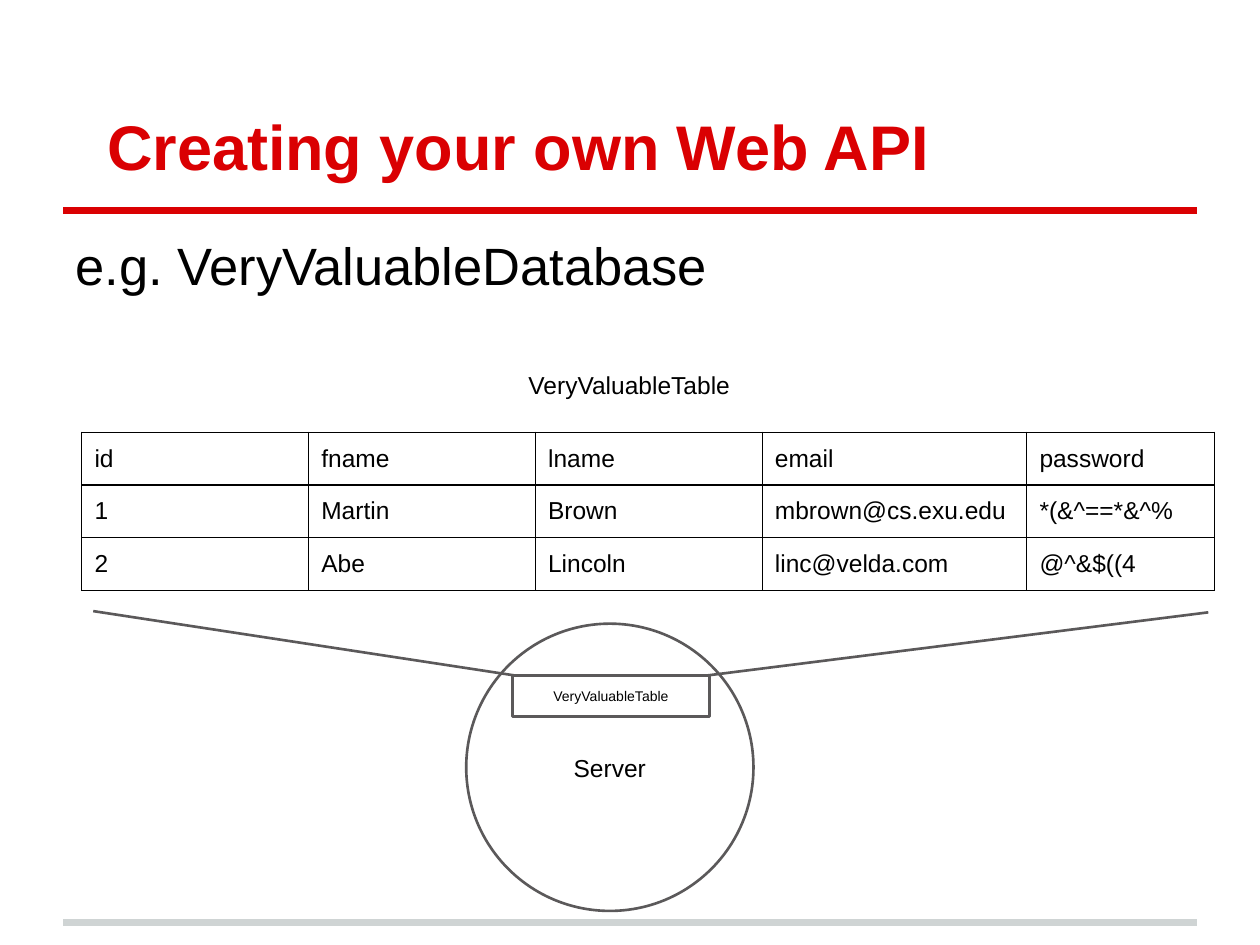
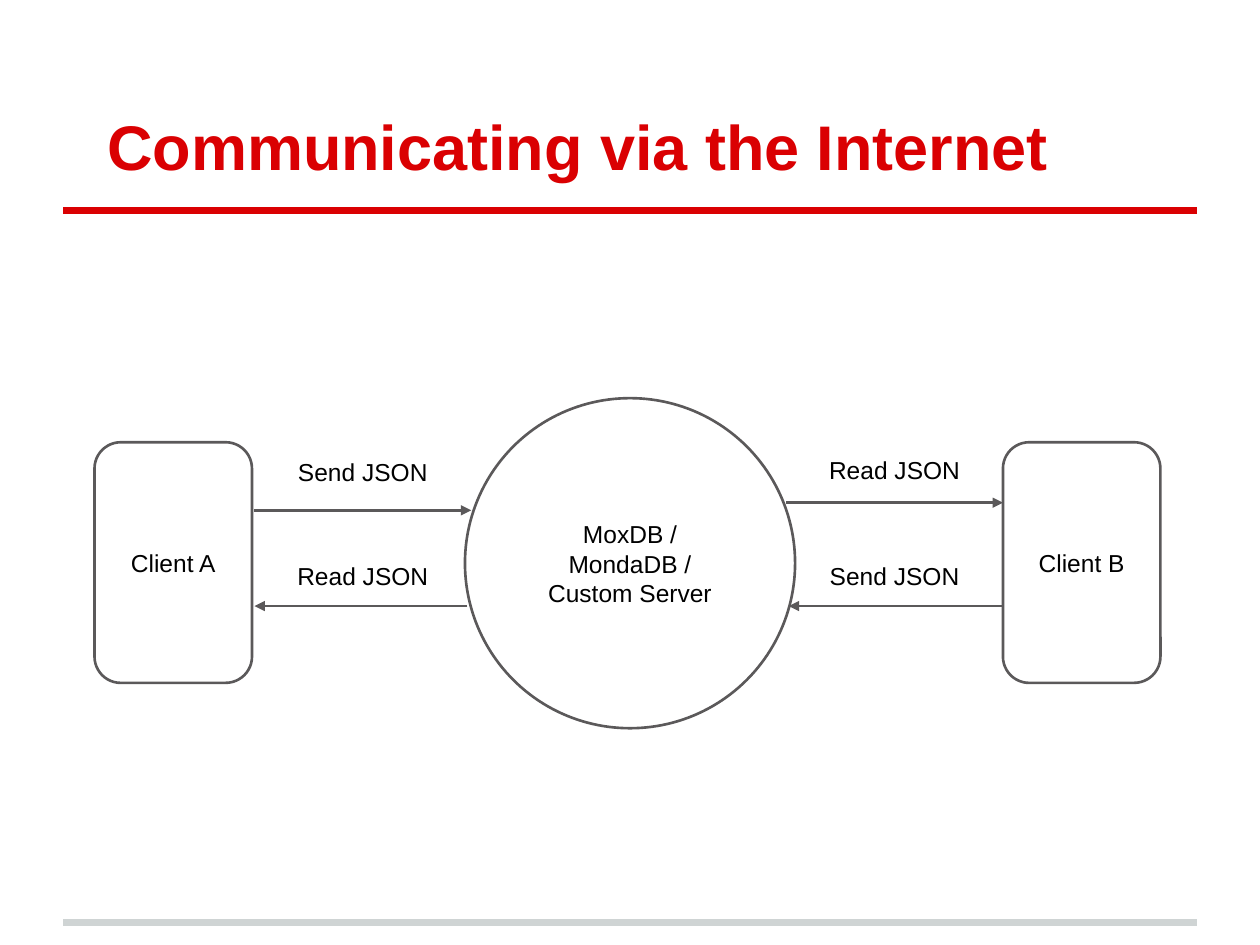
"""Build two slides about a custom web API and its JSON traffic."""
import pptx
import pptx.dml.color
import pptx.enum.shapes
import pptx.enum.text
import pptx.oxml
import pptx.oxml.ns
import pptx.util

PX = 9144
FONT = "Arial"
RED = "DA0002"
SILVER = "CFD4D4"
GRAY = "5B595A"
BLACK = "000000"
WHITE = "FFFFFF"
MARGIN = 10
SHAPES = pptx.enum.shapes.MSO_SHAPE
ANCHOR = pptx.enum.text.MSO_ANCHOR
ALIGN = pptx.enum.text.PP_ALIGN


def color(value):
    return pptx.dml.color.RGBColor.from_string(value)


def px(*lengths):
    return [length * PX for length in lengths]


def element(tag, attributes="", content=""):
    namespace = pptx.oxml.ns.nsdecls("a")
    return pptx.oxml.parse_xml(f"<a:{tag} {namespace} {attributes}>{content}</a:{tag}>")


class Deck:
    def __init__(self):
        self.presentation = pptx.Presentation()
        self.presentation.slide_width, self.presentation.slide_height = px(1000, 750)
        self.slide = None

    def add_slide(self, title):
        layout = self.presentation.slide_layouts.get_by_name("Title Only")
        self.slide = self.presentation.slides.add_slide(layout)
        self.line((50, 732), (950, 732), SILVER, 4)
        self.line((50, 167), (950, 167), RED, 4)
        shape = self.slide.shapes.title
        shape.left, shape.top, shape.width, shape.height = px(50, 30, 900, 125)
        self.add_text(shape.text_frame, [title], 36, RED, ALIGN.LEFT, ANCHOR.BOTTOM, bold=True)
        shape.text_frame.margin_left = (MARGIN + 25) * PX

    def add_text(self, frame, lines, size, ink=BLACK, align=ALIGN.CENTER,
                 anchor=ANCHOR.TOP, bold=False, before=0):
        frame.word_wrap = True
        frame.auto_size = pptx.enum.text.MSO_AUTO_SIZE.NONE
        frame.vertical_anchor = anchor
        self.set_margins(frame)
        for index, line in enumerate(lines):
            paragraph = frame.add_paragraph() if index else frame.paragraphs[0]
            paragraph.alignment = align
            paragraph.space_before = pptx.util.Pt(before)
            self.add_run(paragraph, line, size, ink, bold)

    def set_margins(self, holder):
        holder.margin_left = holder.margin_right = MARGIN * PX
        holder.margin_top = holder.margin_bottom = MARGIN * PX

    def add_run(self, paragraph, text, size, ink=BLACK, bold=False):
        run = paragraph.add_run()
        run.text = text
        run.font.name = FONT
        run.font.size = pptx.util.Pt(size)
        run.font.bold = bold
        run.font.color.rgb = color(ink)

    def text(self, box, line, size=14, align=ALIGN.CENTER, before=0):
        shape = self.slide.shapes.add_textbox(*px(*box))
        self.add_text(shape.text_frame, [line], size, align=align, before=before)

    def shape(self, kind, box, lines, size=14):
        shape = self.slide.shapes.add_shape(kind, *px(*box))
        shape.shadow.inherit = False
        shape.fill.solid()
        shape.fill.fore_color.rgb = color(WHITE)
        shape.line.color.rgb = color(GRAY)
        shape.line.width = pptx.util.Pt(1.5)
        self.add_text(shape.text_frame, lines, size, anchor=ANCHOR.MIDDLE)

    def line(self, start, end, ink=GRAY, width=1.5, arrow=False):
        straight = pptx.enum.shapes.MSO_CONNECTOR.STRAIGHT
        connector = self.slide.shapes.add_connector(straight, *px(*start, *end))
        connector.line.color.rgb = color(ink)
        connector.line.width = pptx.util.Pt(width)
        properties = connector._element.spPr
        if arrow:
            outline = properties.find(pptx.oxml.ns.qn("a:ln"))
            outline.append(element("tailEnd", 'type="triangle"'))
        properties.append(element("effectLst"))

    def table(self, left, top, widths, row_height, rows):
        box = px(left, top, sum(widths), row_height * len(rows))
        table = self.slide.shapes.add_table(len(rows), len(widths), *box).table
        table.first_row = table.horz_banding = False
        for column, width in zip(table.columns, widths):
            column.width = width * PX
        for row, values in zip(table.rows, rows):
            row.height = row_height * PX
            for cell, value in zip(row.cells, values):
                self.cell(cell, value)

    def cell(self, cell, value):
        self.set_margins(cell)
        properties = cell._tc.get_or_add_tcPr()
        stroke = f'<a:solidFill><a:srgbClr val="{BLACK}"/></a:solidFill>'
        for side in "LRTB":
            properties.append(element(f"ln{side}", 'w="9525"', stroke))
        cell.fill.background()
        self.add_run(cell.text_frame.paragraphs[0], value, 14)


def build_database_slide(deck):
    deck.add_slide("Creating your own Web API")
    deck.text((50, 175, 900, 543), "e.g. VeryValuableDatabase", 30, ALIGN.LEFT, 6)
    deck.table(65, 343, [180, 180, 180, 210, 149], 42, [
        ["id", "fname", "lname", "email", "password"],
        ["1", "Martin", "Brown", "mbrown@cs.exu.edu", "*(&^==*&^%"],
        ["2", "Abe", "Lincoln", "linc@velda.com", "@^&$((4"],
    ])
    deck.text((391, 284, 217, 53), "VeryValuableTable")
    deck.shape(SHAPES.OVAL, (370, 495, 228, 228), ["Server"])
    deck.shape(SHAPES.RECTANGLE, (407, 536, 156, 33), ["VeryValuableTable"], 8)
    deck.line((562, 536), (959, 486))
    deck.line((408, 536), (74, 485))


def build_traffic_slide(deck):
    deck.add_slide("Communicating via the Internet")
    for left, client in ((75, "Client A"), (796, "Client B")):
        deck.shape(SHAPES.ROUNDED_RECTANGLE, (left, 351, 125, 191), [client])
    deck.shape(SHAPES.OVAL, (369, 316, 262, 262), ["MoxDB / MondaDB /", "Custom Server"])
    messages = [
        ("Send JSON", 206, 353, 202, 374, 405),
        ("Read JSON", 628, 351, 624, 796, 399),
        ("Read JSON", 206, 435, 371, 202, 481),
        ("Send JSON", 628, 435, 795, 626, 481),
    ]
    for label, left, top, start, end, level in messages:
        deck.text((left, top, 164, 44), label)
        deck.line((start, level), (end, level), arrow=True)


def main():
    deck = Deck()
    build_database_slide(deck)
    build_traffic_slide(deck)
    deck.presentation.save("out.pptx")


if __name__ == "__main__":
    main()
